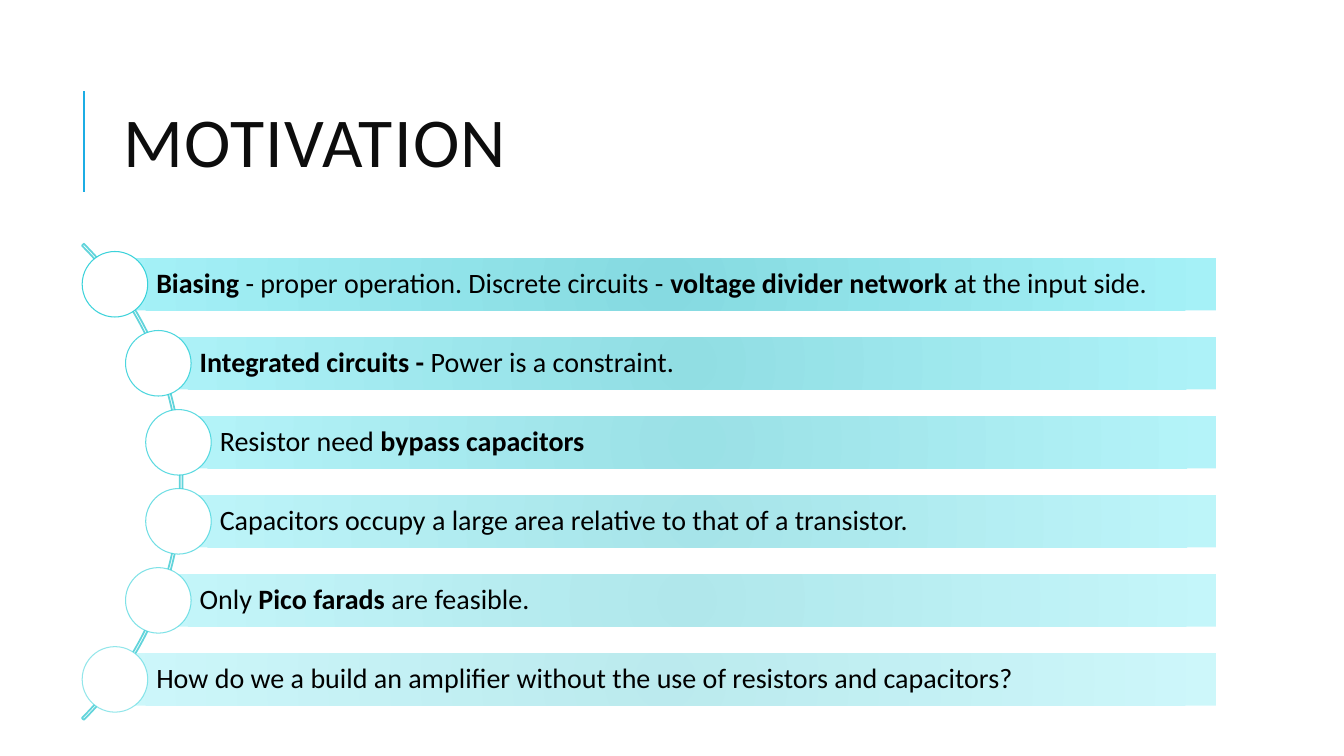
from dataclasses import dataclass

from lxml.etree import SubElement
from pptx import Presentation
from pptx.dml.color import RGBColor
from pptx.enum.shapes import MSO_CONNECTOR as CONN, MSO_SHAPE as SHAPE
from pptx.enum.text import MSO_ANCHOR as ANCHOR, MSO_AUTO_SIZE as FIT, PP_ALIGN as ALIGN
from pptx.oxml import parse_xml
from pptx.oxml.ns import nsdecls, qn
from pptx.util import Inches, Pt

TITLE = "MOTIVATION"
# Each row: bar left edge, then (text, bold) runs
ROWS = [
    (1.14, [("Biasing", True), (" - proper operation. Discrete circuits - ", False),
            ("voltage divider network ", True), ("at the input side.", False)]),
    (1.57, [("Integrated circuits - ", True), ("Power is a constraint.", False)]),
    (1.77, [("Resistor need ", False), ("bypass capacitors", True)]),
    (1.77, [("Capacitors occupy a large area relative to that of a transistor.", False)]),
    (1.57, [("Only", False), (" Pico farads ", True), ("are feasible.", False)]),
    (1.14, [("How do we a build an amplifier without the use of resistors and capacitors?",
             False)]),
]


@dataclass(frozen=True)
class Theme:
    font: str = "Calibri"
    title_size: int = 50
    body_size: int = 20
    title: str = "0D0D0D"
    body: str = "000000"
    rule: str = "1CADE4"
    arc: str = "62D4DB"
    ring: str = "27CED7"
    knob: str = "FFFFFF"
    bar_dark: str = "79D7DE"
    bar_light: str = "9CF0F7"


T = Theme()
BAR_TOP, BAR_RIGHT, BAR_H, PITCH = 2.56, 12.06, 0.52, 0.784
KNOB = 0.65
ARC_BOX = (-4.87, 1.44, 6.68, 6.68)
ARC_ADJUST = (189, 27, 0.004)  # start angle, end angle, thickness
FIRST_ALPHA, ALPHA_STEP = 90, 8


def rgb(value):
    return RGBColor.from_string(value)


def add_shape(slide, kind, left, top, width, height):
    sp = slide.shapes.add_shape(kind, *map(Inches, (left, top, width, height)))
    sp.shadow.inherit = False
    sp.fill.background()
    sp.line.fill.background()
    return sp


def set_line(sp, color, width):
    sp.line.color.rgb = rgb(color)
    sp.line.width = Pt(width)


def set_glow_fill(sp, alpha):
    """Give the shape a translucent circular gradient."""
    stops = "".join(
        f'<a:gs pos="{pos}"><a:srgbClr val="{color}"><a:alpha val="{alpha * 1000}"/>'
        "</a:srgbClr></a:gs>"
        for pos, color in ((0, T.bar_dark), (100000, T.bar_light)))
    grad = parse_xml(
        f'<a:gradFill {nsdecls("a")} rotWithShape="1"><a:gsLst>{stops}</a:gsLst>'
        '<a:path path="circle"><a:fillToRect l="100000" t="100000" r="100000" b="100000"/>'
        "</a:path></a:gradFill>")
    props = sp.element.spPr
    props.replace(props.find(qn("a:noFill")), grad)


def set_font(font, size, color):
    font.name, font.size, font.color.rgb = T.font, Pt(size), rgb(color)


def add_title(slide):
    rule = slide.shapes.add_connector(
        CONN.STRAIGHT, *map(Inches, (0.83, 1.9, 0.83, 0.9)))
    set_line(rule, T.rule, 1.5)
    SubElement(rule.element.spPr, qn("a:effectLst"))

    sp = slide.shapes.title
    sp.left, sp.top, sp.width, sp.height = map(Inches, (1.12, 0.64, 10.63, 1.64))
    tf = sp.text_frame
    tf.auto_size, tf.vertical_anchor = FIT.NONE, ANCHOR.MIDDLE
    p = tf.paragraphs[0]
    p.alignment, p.line_spacing = ALIGN.LEFT, 0.8
    set_font(p.font, T.title_size, T.title)
    r = p.add_run()
    r.text = TITLE
    r.font._element.set("spc", "100")


def add_arc(slide):
    sp = add_shape(slide, SHAPE.BLOCK_ARC, *ARC_BOX)
    for i, value in enumerate(ARC_ADJUST):
        sp.adjustments[i] = value
    set_line(sp, T.arc, 1.25)


def add_bar(slide, left, top, runs, alpha):
    sp = add_shape(slide, SHAPE.RECTANGLE, left, top, BAR_RIGHT - left, BAR_H)
    set_glow_fill(sp, alpha)
    tf = sp.text_frame
    tf.word_wrap, tf.vertical_anchor = True, ANCHOR.MIDDLE
    tf.margin_left = Inches(0.41)
    tf.margin_top = tf.margin_right = tf.margin_bottom = Inches(0.06)
    p = tf.paragraphs[0]
    p.alignment, p.line_spacing = ALIGN.LEFT, 0.9
    set_font(p.font, T.body_size, T.body)
    for text, bold in runs:
        r = p.add_run()
        r.text, r.font.bold = text, bold


def add_knob(slide, center_x, center_y, alpha):
    sp = add_shape(slide, SHAPE.OVAL, center_x - KNOB / 2, center_y - KNOB / 2, KNOB, KNOB)
    sp.fill.solid()
    sp.fill.fore_color.rgb = rgb(T.knob)
    set_line(sp, T.ring, 0.75)
    color = sp.line._ln.find(".//" + qn("a:srgbClr"))
    SubElement(color, qn("a:alpha"), val=str(alpha * 1000))


def main():
    prs = Presentation()
    prs.slide_width, prs.slide_height = Inches(13.33), Inches(7.5)
    slide = prs.slides.add_slide(prs.slide_layouts[5])
    add_title(slide)
    add_arc(slide)
    for i, (left, runs) in enumerate(ROWS):
        top = BAR_TOP + i * PITCH
        alpha = FIRST_ALPHA - i * ALPHA_STEP
        add_bar(slide, left, top, runs, alpha)
        add_knob(slide, left, top + BAR_H / 2, alpha)
    prs.save("out.pptx")


if __name__ == "__main__":
    main()
